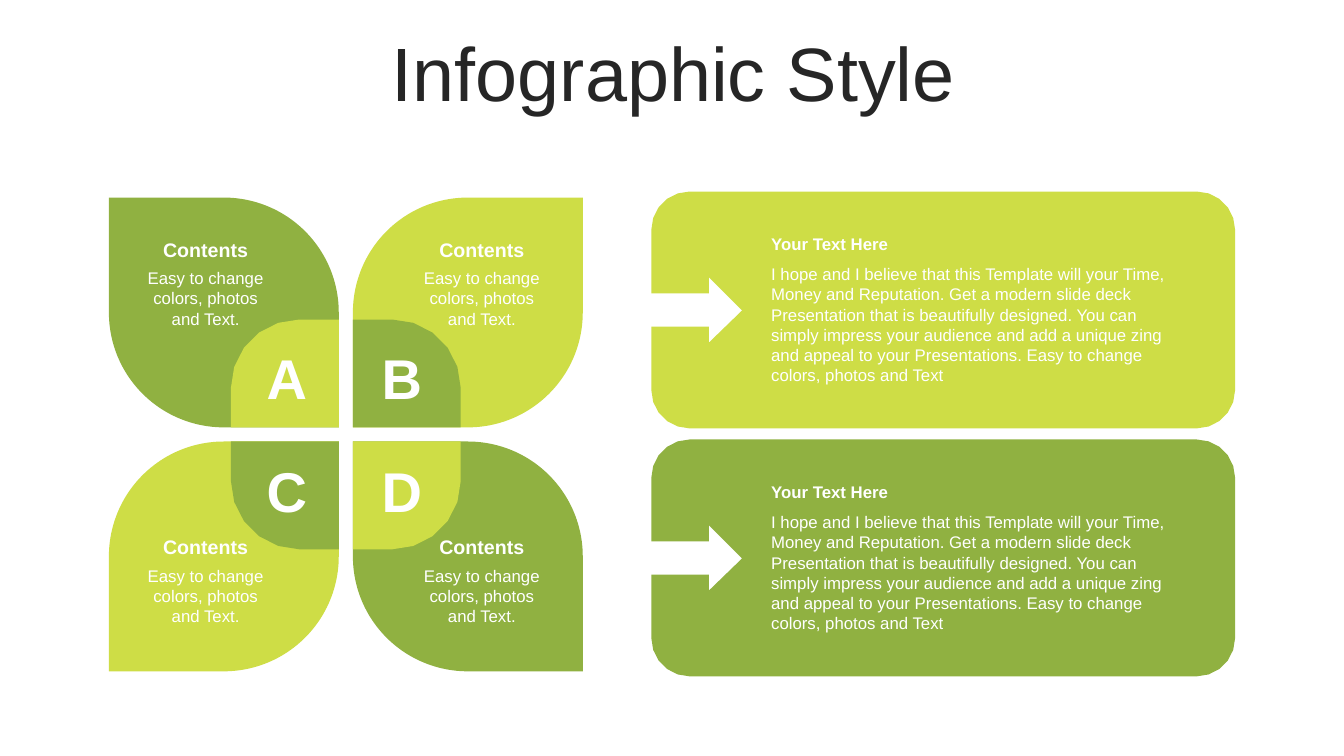
from math import cos, radians, sin

from pptx import Presentation
from pptx.dml.color import RGBColor
from pptx.enum import shapes, text
from pptx.util import Inches, Pt

GREEN = RGBColor(0x90, 0xB1, 0x41)
LIME = RGBColor(0xCE, 0xDD, 0x46)
WHITE = RGBColor(0xFF, 0xFF, 0xFF)
DARK = RGBColor(0x26, 0x26, 0x26)
FONT = "Arial"

TITLE = "Infographic Style"
PETAL_HEAD = "Contents"
PETAL_TEXT = "Easy to change colors, photos and Text."
PETALS = [
    ("A", 0, 0, GREEN, LIME),
    ("B", 1, 0, LIME, GREEN),
    ("C", 0, 1, LIME, GREEN),
    ("D", 1, 1, GREEN, LIME),
]
PANEL_HEAD = "Your Text Here"
PANEL_TEXT = (
    "I hope and I believe that this Template will your Time, Money and "
    "Reputation. Get a modern slide deck Presentation that is beautifully "
    "designed. You can simply impress your audience and add a unique zing "
    "and appeal to your Presentations. Easy to change colors, photos and Text"
)
PANELS = [(4.36, GREEN), (1.9, LIME)]
NOTCH = [(0, 1.34), (0.57, 1.34), (0.57, 1.5), (0.9, 1.18),
         (0.57, 0.85), (0.57, 1.01), (0, 1.01)]

PETAL_X, PETAL_Y, PETAL, PITCH = 1.08, 1.96, 2.28, 2.42
BADGE, BADGE_R = 1.07, 0.68
PANEL_X, PANEL_W, PANEL_H, PANEL_R = 6.46, 5.79, 2.35, 0.38


def paint(sp, color):
    sp.shadow.inherit = False
    sp.fill.solid()
    sp.fill.fore_color.rgb = color
    sp.line.fill.background()


def arc(cx, cy, radius, start):
    angles = [radians(start + step) for step in range(0, 91, 18)]
    return [(cx + radius * cos(a), cy + radius * sin(a)) for a in angles]


def add_outline(s, points, color):
    pts = [(Inches(x), Inches(y)) for x, y in points]
    builder = s.shapes.build_freeform(*pts[0], scale=1.0)
    builder.add_line_segments(pts[1:], close=True)
    paint(builder.convert_to_shape(), color)


def write(tf, words, size, color, bold=False, align=text.PP_ALIGN.LEFT):
    p = tf.paragraphs[0]
    p.alignment = align
    r = p.add_run()
    r.text = words
    r.font.name = FONT
    r.font.size = Pt(size)
    r.font.bold = bold
    r.font.color.rgb = color
    return p


def add_text(s, box, words, size, bold=False, align=text.PP_ALIGN.CENTER):
    tf = s.shapes.add_textbox(*map(Inches, box)).text_frame
    tf.word_wrap = True
    write(tf, words, size, WHITE, bold, align)


def add_title(s):
    sp = s.shapes.title
    sp.left, sp.top, sp.width, sp.height = map(Inches, (0.35, 0.37, 12.66, 0.79))
    tf = sp.text_frame
    tf.auto_size = text.MSO_AUTO_SIZE.NONE
    tf.vertical_anchor = text.MSO_ANCHOR.MIDDLE
    p = write(tf, TITLE, 54, DARK, align=text.PP_ALIGN.CENTER)
    p.line_spacing = 0.9


def add_panel(s, top, color):
    near, far = PANEL_R, PANEL_W - PANEL_R
    low = PANEL_H - PANEL_R
    corners = [(near, near), (far, near), (far, low), (near, low)]
    points = []
    for i, (cx, cy) in enumerate(corners):
        points += arc(cx, cy, PANEL_R, 180 + 90 * i)
    points += NOTCH
    add_outline(s, [(PANEL_X + x, top + y) for x, y in points], color)
    left = text.PP_ALIGN.LEFT
    add_text(s, (7.55, top + 0.67, 4.29, 1.31), PANEL_TEXT, 12, False, left)
    add_text(s, (7.55, top + 0.37, 4.29, 0.3), PANEL_HEAD, 12, True, left)


def add_petal(s, letter, col, row, color, badge_color):
    x, y = PETAL_X + col * PITCH, PETAL_Y + row * PITCH
    sp = s.shapes.add_shape(shapes.MSO_SHAPE.ROUND_2_DIAG_RECTANGLE,
                            *map(Inches, (x, y, PETAL, PETAL)))
    falling = col != row
    sp.adjustments[0] = 0.5 if falling else 0
    sp.adjustments[1] = 0 if falling else 0.5
    paint(sp, color)

    inner_x, inner_y = x + PETAL * (1 - col), y + PETAL * (1 - row)
    dx, dy = 2 * col - 1, 2 * row - 1
    bend = BADGE - BADGE_R
    points = [(0, 0), (BADGE, 0), *arc(bend, bend, BADGE_R, 0), (0, BADGE)]
    add_outline(s, [(inner_x + dx * px, inner_y + dy * py) for px, py in points],
                badge_color)

    add_text(s, (2.53 + 1.14 * col, 3.36 + 1.12 * row, 0.63, 0.77), letter, 40, True)
    text_x, text_y = 1.32 + 2.74 * col, 2.31 + 2.95 * row
    add_text(s, (text_x, text_y + 0.3, 1.44, 0.68), PETAL_TEXT, 12)
    add_text(s, (text_x, text_y, 1.44, 0.28), PETAL_HEAD, 14, True)


def main():
    prs = Presentation()
    prs.slide_width, prs.slide_height = Inches(13.33), Inches(7.5)
    s = prs.slides.add_slide(prs.slide_layouts[5])
    add_title(s)
    for panel in PANELS:
        add_panel(s, *panel)
    for petal in PETALS:
        add_petal(s, *petal)
    prs.save("out.pptx")


if __name__ == "__main__":
    main()
